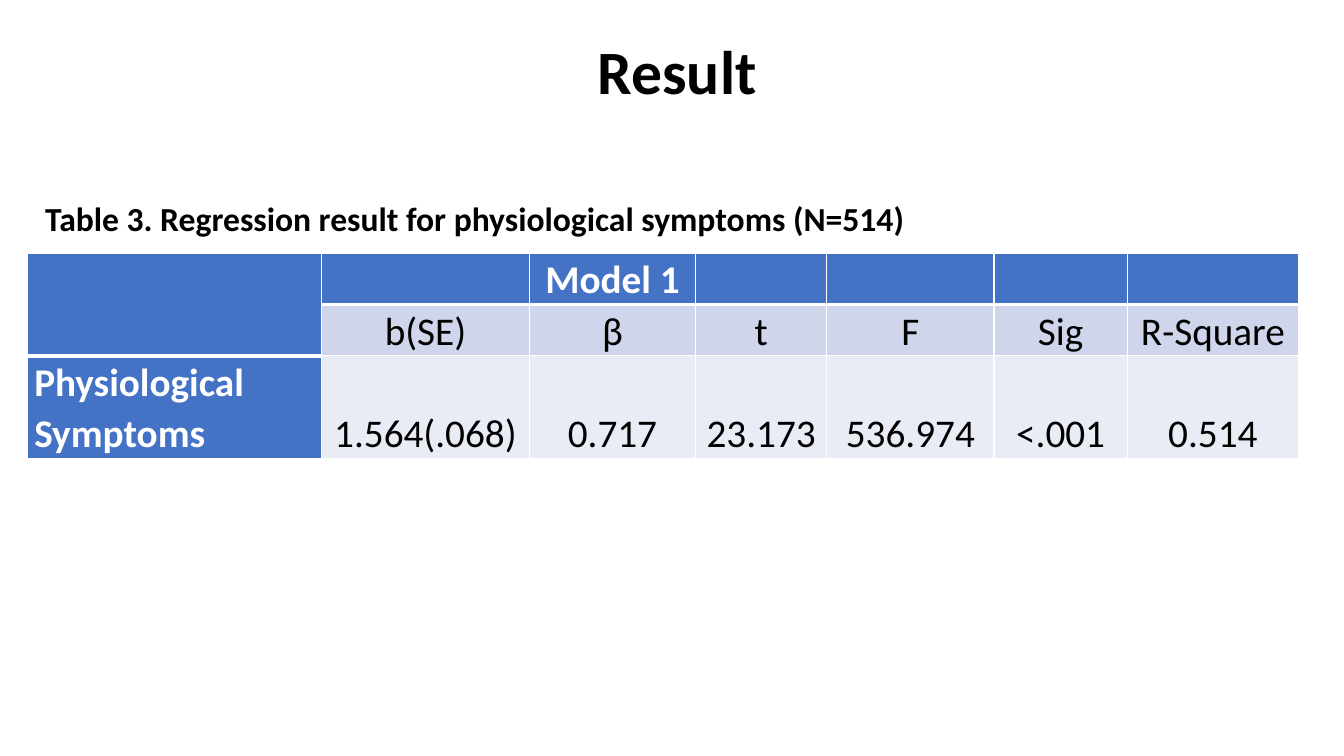
from pptx import Presentation
from pptx.dml.color import RGBColor
from pptx.enum.text import MSO_ANCHOR, PP_ALIGN
from pptx.oxml import parse_xml
from pptx.oxml.ns import nsdecls
from pptx.util import Inches, Pt

LEFT, CENTER = PP_ALIGN.LEFT, PP_ALIGN.CENTER
MIDDLE, BOTTOM = MSO_ANCHOR.MIDDLE, MSO_ANCHOR.BOTTOM

TITLE = "Result"
CAPTION = "Table 3. Regression result for physiological symptoms (N=514)"
ROWS = [
    ["", "", "Model 1", "", "", "", ""],
    ["", "b(SE)", "β", "t", "F", "Sig", "R-Square"],
    ["Physiological Symptoms", "1.564(.068)", "0.717", "23.173", "536.974", "<.001", "0.514"],
]
COLUMN_WIDTHS = [2.92, 2.06, 1.65, 1.3, 1.66, 1.32, 1.7]
ROW_HEIGHTS = [0.51, 0.51, 1.02]

THEME = {
    "font": "Calibri",
    "title": 44,
    "caption": 24,
    "cell": 28,
    "text": "000000",
    "light": "FFFFFF",
    "header": "4472C4",
    "bands": ["4472C4", "CFD5EA", "E9EBF5"],
    "thin": 1,
    "heavy": 3,
}


def style(para, size, color, bold, align):
    para.alignment = align
    para.font.name = THEME["font"]
    para.font.size = Pt(size)
    para.font.bold = bold
    para.font.color.rgb = RGBColor.from_string(color)


def add_text(page, area, text, size, align, anchor, wrap):
    box = page.shapes.add_textbox(*[Inches(value) for value in area])
    frame = box.text_frame
    frame.word_wrap = wrap
    frame.vertical_anchor = anchor
    para = frame.paragraphs[0]
    para.text = text
    style(para, size, THEME["text"], True, align)


def set_border(cell, side, points):
    cell._tc.get_or_add_tcPr().append(parse_xml(
        f'<a:{side} {nsdecls("a")} w="{Pt(points)}"><a:solidFill>'
        f'<a:srgbClr val="{THEME["light"]}"/></a:solidFill></a:{side}>'
    ))


def style_cell(cell, row, column, text):
    is_header = row == 0 or column == 0
    heavy_top = row == 1 or (row == 2 and column == 0)
    heavy_bottom = row == 0 or (row == 1 and column == 0)
    set_border(cell, "lnL", THEME["thin"])
    set_border(cell, "lnR", THEME["thin"])
    set_border(cell, "lnT", THEME["heavy" if heavy_top else "thin"])
    set_border(cell, "lnB", THEME["heavy" if heavy_bottom else "thin"])
    cell.fill.solid()
    cell.fill.fore_color.rgb = RGBColor.from_string(
        THEME["header"] if is_header else THEME["bands"][row])
    cell.margin_left = cell.margin_right = Inches(0.07)
    cell.margin_top = cell.margin_bottom = 0
    cell.vertical_anchor = BOTTOM
    para = cell.text_frame.paragraphs[0]
    if text:
        para.text = text
    para.line_spacing = 1.07
    style(para, THEME["cell"], THEME["light" if is_header else "text"],
          is_header, LEFT if column == 0 else CENTER)


def add_results(page):
    frame = page.shapes.add_table(
        len(ROWS), len(COLUMN_WIDTHS), Inches(0.27), Inches(2.51),
        Inches(sum(COLUMN_WIDTHS)), Inches(sum(ROW_HEIGHTS)))
    table = frame.table
    for column, width in zip(table.columns, COLUMN_WIDTHS):
        column.width = Inches(width)
    for row, height in zip(table.rows, ROW_HEIGHTS):
        row.height = Inches(height)
    for row, texts in enumerate(ROWS):
        for column, text in enumerate(texts):
            style_cell(table.cell(row, column), row, column, text)
    table.cell(0, 0).merge(table.cell(1, 0))


def main():
    deck = Presentation()
    deck.slide_width, deck.slide_height = Inches(13.33), Inches(7.5)
    page = deck.slides.add_slide(deck.slide_layouts[6])
    add_results(page)
    add_text(page, (0.35, 1.91, 12.45, 0.5), CAPTION, THEME["caption"], LEFT, MIDDLE, True)
    add_text(page, (5.83, 0.28, 1.79, 0.84), TITLE, THEME["title"], LEFT, None, False)
    deck.save("out.pptx")


if __name__ == "__main__":
    main()
